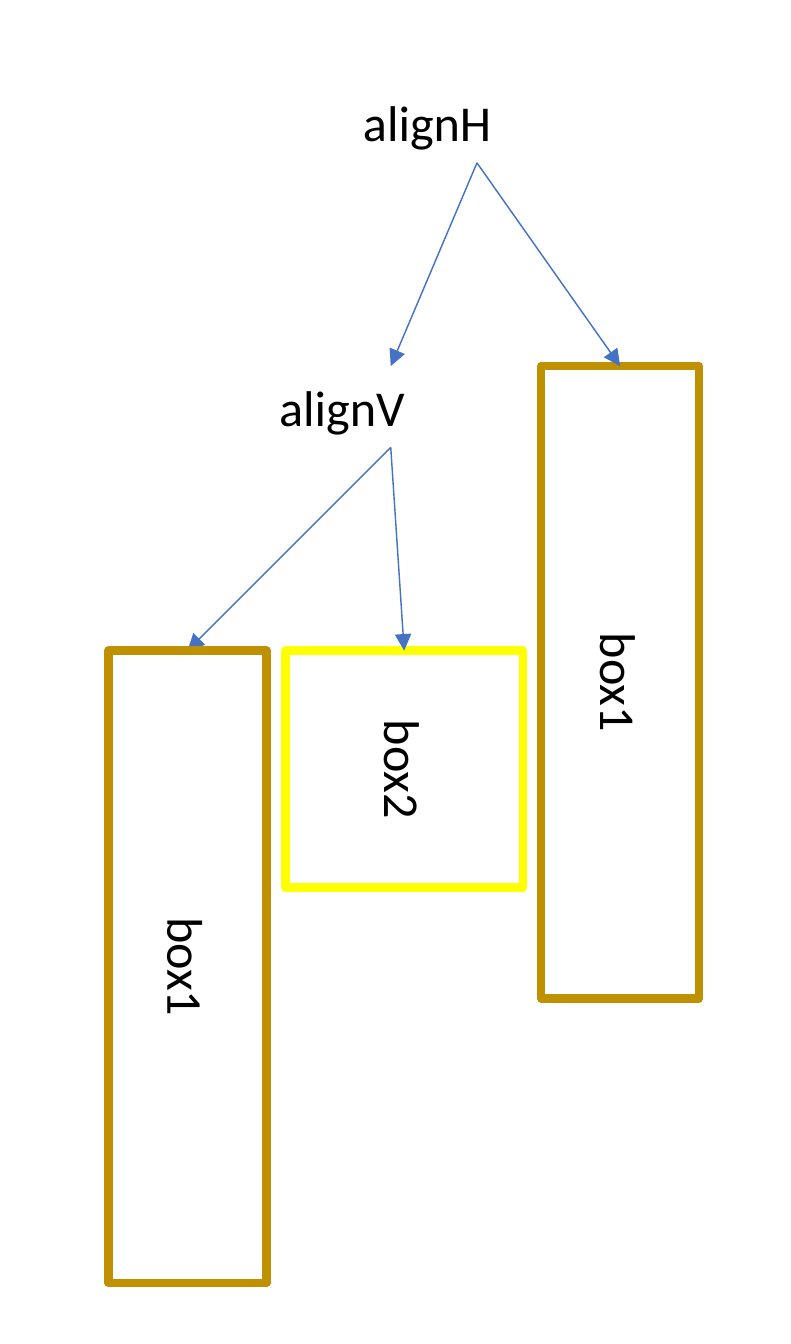
from lxml import etree
from pptx import Presentation
from pptx.dml.color import RGBColor
from pptx.enum.shapes import MSO_CONNECTOR, MSO_SHAPE
from pptx.enum.text import MSO_ANCHOR, MSO_AUTO_SIZE, PP_ALIGN
from pptx.oxml.ns import qn
from pptx.util import Cm, Pt

RECTANGLE = MSO_SHAPE.RECTANGLE
STRAIGHT = MSO_CONNECTOR.STRAIGHT
LEFT, CENTER = PP_ALIGN.LEFT, PP_ALIGN.CENTER
TOP, MIDDLE = MSO_ANCHOR.TOP, MSO_ANCHOR.MIDDLE
FIT_TEXT = MSO_AUTO_SIZE.SHAPE_TO_FIT_TEXT

SLIDE_SIZE = (10, 17)
# name: text, centre x, level, width, height
LABELS = {
    "alignH": ("alignH", 6.03, 0, 3.38, 1.03),
    "alignV": ("alignV", 4.94, 1, 3.32, 1.03),
}
BOXES = {
    "right": ("box1", 7.84, 1, 2, 8, "box1"),
    "middle": ("box2", 5.11, 2, 3, 3, "box2"),
}
FRONT_BOXES = {"left": ("box1", 2.37, 2, 2, 8, "box1")}
LINKS = [
    ("alignV", "middle"),
    ("alignH", "alignV"),
    ("alignH", "right"),
    ("alignV", "left"),
]
TOP_LEVEL, LEVEL_STEP = 1.03, 3.6
SITE_TOP, SITE_LEFT, SITE_BOTTOM = 0, 1, 2

THEME = {
    "font": "Calibri",
    "size": Pt(18),
    "text": RGBColor(0, 0, 0),
    "box1": RGBColor(0xBF, 0x90, 0x00),
    "box2": RGBColor(0xFF, 0xFF, 0x00),
    "arrow": RGBColor(0x44, 0x72, 0xC4),
    "box_line": Pt(3),
    "arrow_line": Pt(0.5),
}


def level_top(level):
    return TOP_LEVEL + level * LEVEL_STEP


def write(sp, text, align=LEFT, anchor=TOP):
    tf = sp.text_frame
    tf.word_wrap = True
    tf.vertical_anchor = anchor
    p = tf.paragraphs[0]
    p.alignment = align
    r = p.add_run()
    r.text = text
    r.font.name = THEME["font"]
    r.font.size = THEME["size"]
    r.font.color.rgb = THEME["text"]


def add_label(s, text, x, level, width, height):
    sp = s.shapes.add_textbox(Cm(x - width / 2), Cm(level_top(level)), Cm(width), Cm(height))
    write(sp, text)
    sp.text_frame.auto_size = FIT_TEXT
    return sp


def add_box(s, text, x, level, width, height, color):
    y = level_top(level) + height / 2
    sp = s.shapes.add_shape(
        RECTANGLE, Cm(x - height / 2), Cm(y - width / 2), Cm(height), Cm(width)
    )
    sp.rotation = 90
    sp.shadow.inherit = False
    sp.fill.background()
    sp.line.color.rgb = THEME[color]
    sp.line.width = THEME["box_line"]
    write(sp, text, align=CENTER, anchor=MIDDLE)
    return sp


def add_arrow(s):
    cxn = s.shapes.add_connector(STRAIGHT, 0, 0, 0, 0)
    cxn.line.color.rgb = THEME["arrow"]
    cxn.line.width = THEME["arrow_line"]
    etree.SubElement(cxn.line._get_or_add_ln(), qn("a:tailEnd"), type="triangle")
    etree.SubElement(cxn._element.spPr, qn("a:effectLst"))
    return cxn


def join(cxn, parent, child, child_x, child_level):
    cxn.begin_connect(parent, SITE_BOTTOM)
    cxn.end_connect(child, SITE_LEFT if child.rotation else SITE_TOP)
    cxn.end_x = Cm(child_x)
    cxn.end_y = Cm(level_top(child_level))


def main():
    prs = Presentation()
    prs.slide_width, prs.slide_height = map(Cm, SLIDE_SIZE)
    s = prs.slides.add_slide(prs.slide_layouts[6])

    nodes = {name: add_box(s, *box) for name, box in BOXES.items()}
    nodes.update({name: add_label(s, *label) for name, label in LABELS.items()})
    arrows = [add_arrow(s) for _ in LINKS]
    nodes.update({name: add_box(s, *box) for name, box in FRONT_BOXES.items()})

    content = {**LABELS, **BOXES, **FRONT_BOXES}
    for cxn, (parent, child) in zip(arrows, LINKS):
        x, level = content[child][1:3]
        join(cxn, nodes[parent], nodes[child], x, level)

    prs.save("out.pptx")


if __name__ == "__main__":
    main()
